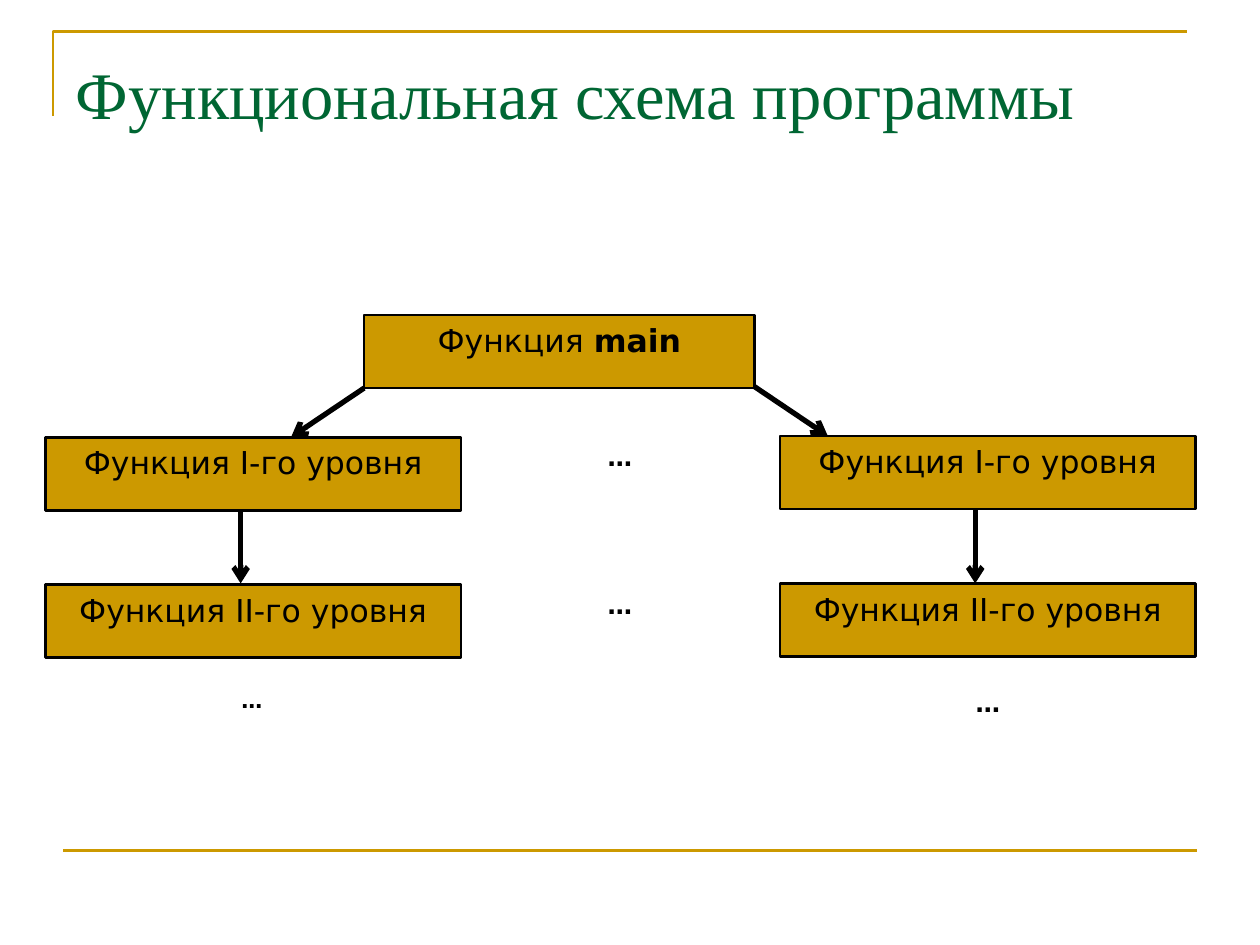
from lxml import etree
from pptx import Presentation
from pptx.dml.color import RGBColor
from pptx.enum.shapes import MSO_CONNECTOR, MSO_SHAPE
from pptx.enum.text import MSO_ANCHOR, MSO_AUTO_SIZE, PP_ALIGN
from pptx.oxml.ns import qn
from pptx.util import Inches, Pt

GOLD = RGBColor(0xCC, 0x99, 0x00)
GREEN = RGBColor(0x00, 0x66, 0x33)
BLACK = RGBColor(0, 0, 0)
STRAIGHT = MSO_CONNECTOR.STRAIGHT
RECT = MSO_SHAPE.RECTANGLE
TOP = MSO_ANCHOR.TOP
LEFT, CENTER = PP_ALIGN.LEFT, PP_ALIGN.CENTER
NO_FIT = MSO_AUTO_SIZE.NONE
BODY_FONT, TITLE_FONT = "DejaVu Sans", "Times New Roman"

TITLE = "Функциональная схема программы"
MAIN_RUNS = [("Функция ", False), ("main", True)]
LEVELS = ["Функция I-го уровня", "Функция II-го уровня"]
ELLIPSIS = [("…", True)]

BOX_H = 0.58
MAIN_X, MAIN_Y, MAIN_W = 2.89, 2.5, 3.1
LEVEL_W, LEVEL_STEP = 3.3, 1.17
BRANCHES = [(0.36, 3.47), (6.19, 3.46)]
ARROW_DX, ARROW_GAP = 1.55, 0.59
MIDDLE_X, MIDDLE_Y = 4.63, 3.46
BOTTOM_DOTS = [(1.71, 12), (7.55, 14)]
BOTTOM_Y = 5.41
FORK = [(2.89, 3.08, 2.31, 3.47), (5.99, 3.07, 6.57, 3.46)]


def add_text(shape, runs, size, font=BODY_FONT, color=BLACK, align=CENTER):
    tf = shape.text_frame
    tf.word_wrap = True
    tf.auto_size = NO_FIT
    tf.vertical_anchor = TOP
    p = tf.paragraphs[0]
    p.alignment = align
    for text, bold in runs:
        r = p.add_run()
        r.text = text
        r.font.size = Pt(size)
        r.font.name = font
        r.font.bold = bold
        r.font.color.rgb = color


def add_box(s, x, y, w, runs):
    sp = s.shapes.add_shape(RECT, Inches(x), Inches(y), Inches(w), Inches(BOX_H))
    sp.shadow.inherit = False
    sp.fill.solid()
    sp.fill.fore_color.rgb = GOLD
    sp.line.color.rgb = BLACK
    sp.line.width = Pt(1.5)
    add_text(sp, runs, 18)


def add_dots(s, x, y, size):
    sp = s.shapes.add_textbox(Inches(x), Inches(y), Inches(BOX_H), Inches(BOX_H))
    add_text(sp, ELLIPSIS, size)


def add_line(s, x1, y1, x2, y2, color, width):
    c = s.shapes.add_connector(STRAIGHT, Inches(x1), Inches(y1), Inches(x2), Inches(y2))
    c.line.color.rgb = color
    c.line.width = Pt(width)
    etree.SubElement(c._element.spPr, qn("a:effectLst"))
    return c


def add_arrow(s, x1, y1, x2, y2):
    c = add_line(s, x1, y1, x2, y2, BLACK, 3)
    etree.SubElement(c.line._get_or_add_ln(), qn("a:tailEnd"), type="arrow")


def add_frame(s):
    fb = s.shapes.build_freeform(Inches(0.42), Inches(0.92))
    fb.add_line_segments([(Inches(0.42), Inches(0.25)), (Inches(9.42), Inches(0.25))], close=False)
    sp = fb.convert_to_shape()
    sp.shadow.inherit = False
    sp.fill.background()
    sp.line.color.rgb = GOLD
    sp.line.width = Pt(1.5)
    add_line(s, 0.5, 6.75, 9.5, 6.75, GOLD, 1.5)


def add_title(s):
    title = s.shapes.title
    title.left, title.top = Inches(0.5), Inches(0.3)
    title.width, title.height = Inches(9), Inches(1.25)
    add_text(title, [(TITLE, False)], 38, TITLE_FONT, GREEN, LEFT)
    title.text_frame.margin_top = Inches(0.12)


def main():
    prs = Presentation()
    prs.slide_width, prs.slide_height = Inches(10), Inches(7.5)
    s = prs.slides.add_slide(prs.slide_layouts[5])
    add_frame(s)
    add_title(s)

    add_box(s, MAIN_X, MAIN_Y, MAIN_W, MAIN_RUNS)
    for i, label in enumerate(LEVELS):
        for x, y in BRANCHES:
            add_box(s, x, y + i * LEVEL_STEP, LEVEL_W, [(label, False)])
        add_dots(s, MIDDLE_X, MIDDLE_Y + i * LEVEL_STEP, 14)
    for x, size in BOTTOM_DOTS:
        add_dots(s, x, BOTTOM_Y, size)

    for ends in FORK:
        add_arrow(s, *ends)
    for x, y in BRANCHES:
        start = MIDDLE_Y + BOX_H
        add_arrow(s, x + ARROW_DX, start, x + ARROW_DX, start + ARROW_GAP)

    prs.save("out.pptx")


if __name__ == "__main__":
    main()
